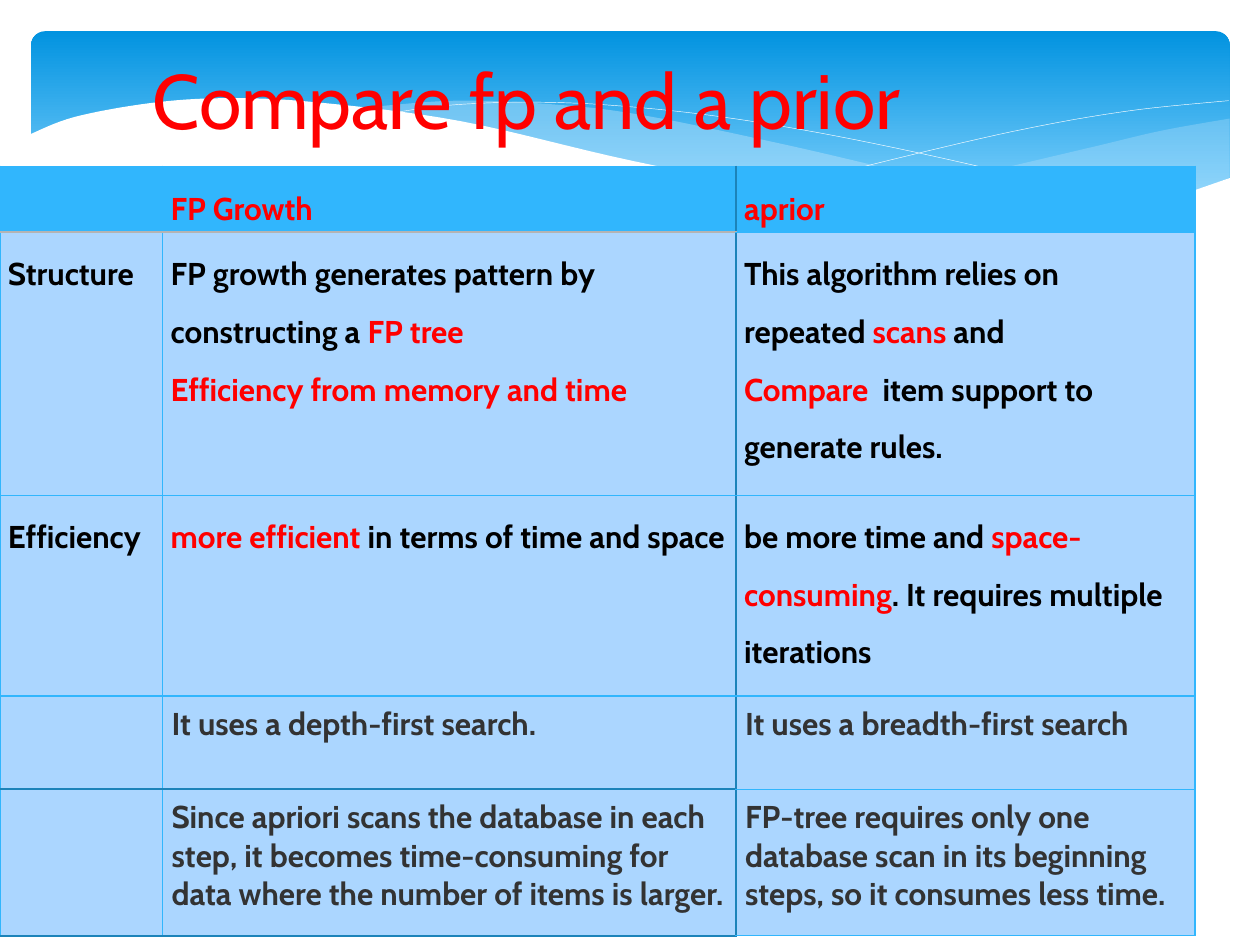
"""Build a slide that compares FP growth and apriori in a table over a wave banner."""
from itertools import chain

from lxml.etree import SubElement
from pptx import Presentation
from pptx.dml.color import RGBColor
from pptx.enum.shapes import MSO_SHAPE
from pptx.enum.text import MSO_ANCHOR as ANCHOR, PP_ALIGN as ALIGN
from pptx.oxml.ns import qn
from pptx.util import Cm, Pt

COLORS = {
    "banner_top": "0293E0", "banner_bottom": "83D3FE", "wave": "C6E7FC",
    "white": "FFFFFF", "red": "FF0000", "black": "000000", "grey": "333333",
    "header": "31B6FD", "body": "ABD6FF", "grid": "31B6FD",
    "divider": "1C83B9", "header_rule": "B4B4B4",
}
RGB = {name: RGBColor.from_string(value) for name, value in COLORS.items()}
FONT = "Cabin"
STEPS = 8


def smooth_edge(knots):
    """Return points on a Catmull-Rom curve through knots given in centimetres."""
    padded = [knots[0], *knots, knots[-1]]
    points = []
    for before, start, end, after in zip(padded, padded[1:], padded[2:], padded[3:]):
        for t in (step / STEPS for step in range(STEPS + 1)):
            points.append(tuple(
                Cm((2 * b + (c - a) * t + (2 * a - 5 * b + 4 * c - d) * t ** 2
                    + (3 * b - a - 3 * c + d) * t ** 3) / 2)
                for a, b, c, d in zip(before, start, end, after)))
    return points


def draw_outline(shapes, edges, closed):
    """Join smooth edges into one freeform without shadow."""
    points = list(chain.from_iterable(smooth_edge(edge) for edge in edges))
    builder = shapes.build_freeform(*points[0])
    builder.add_line_segments(points[1:], close=closed)
    outline = builder.convert_to_shape()
    outline.shadow.inherit = False
    return outline


presentation = Presentation()
presentation.slide_width, presentation.slide_height = Cm(25.4), Cm(19.05)
slide = presentation.slides.add_slide(presentation.slide_layouts[5])
shapes = slide.shapes

banner = shapes.add_shape(
    MSO_SHAPE.ROUNDED_RECTANGLE, Cm(0.63), Cm(0.63), Cm(24.16), Cm(3.96))
banner.adjustments[0] = 0.07
banner.shadow.inherit = False
banner.line.fill.background()
banner.fill.gradient()
banner.fill.gradient_angle = 270
banner_stops = [(0, "banner_top"), (0.9, "banner_bottom")]
for stop, (position, color) in zip(banner.fill.gradient_stops, banner_stops):
    stop.position = position
    stop.color.rgb = RGB[color]

right_wave = [
    [(24.79, 2.39), (23.39, 2.64), (21.87, 3), (19.13, 3.63), (16.79, 4.06)],
    [(16.79, 4.06), (18.26, 4.24), (19.84, 4.35), (21.21, 4.37),
     (22.58, 4.22), (23.75, 3.96), (24.79, 3.58)],
]
middle_wave = [
    [(7.26, 2.18), (9.17, 2.03), (11.23, 2.11), (13.06, 2.34),
     (15.98, 2.95), (18.82, 3.61), (20.5, 3.92), (22.68, 4.24)],
    [(22.68, 4.24), (21.03, 4.39), (19.33, 4.34), (17.27, 4.14),
     (14.83, 3.71), (11.4, 2.95), (9.19, 2.46), (7.26, 2.18)],
]
falling_curve = [
    (7.85, 2.29), (8.97, 2.13), (10.57, 2.06), (12.42, 2.13),
    (14.78, 2.39), (17.65, 2.9), (21.11, 3.68), (23.04, 4.22)]
rising_curve = [
    (15.57, 3.84), (17.65, 3.3), (20.47, 2.64), (22.73, 2.24), (24.77, 2.03)]
white_wave = [
    [(24.82, 3.58), (23.37, 4.04), (21.59, 4.32), (19.33, 4.32),
     (16.46, 3.96), (12.78, 3.25), (9.27, 2.44), (6.35, 2.06),
     (4.5, 1.98), (3.02, 2.08), (1.5, 2.36), (0.58, 2.72)],
    [(0.58, 5.69), (24.82, 5.69)],
]

for edges, opacity in [(right_wave, 29), (middle_wave, 40)]:
    wave = draw_outline(shapes, edges, closed=True)
    wave.line.fill.background()
    wave.fill.solid()
    wave.fill.fore_color.rgb = RGB["wave"]
    wave_color = wave._element.spPr.find(qn("a:solidFill"))[0]
    SubElement(wave_color, qn("a:alpha"), val=str(opacity * 1000))

for knots in (falling_curve, rising_curve):
    curve = draw_outline(shapes, [knots], closed=False)
    curve.fill.background()
    curve.line.color.rgb = RGB["white"]
    curve.line.width = Pt(0.25)

banner_cutout = draw_outline(shapes, white_wave, closed=True)
banner_cutout.line.fill.background()
banner_cutout.fill.solid()
banner_cutout.fill.fore_color.rgb = RGB["white"]

title = shapes.title
title.left, title.top, title.width, title.height = Cm(0), Cm(0.71), Cm(21.59), Cm(2.54)
title.text_frame.text = "Compare fp and a prior "
title.text_frame.vertical_anchor = ANCHOR.MIDDLE
paragraph = title.text_frame.paragraphs[0]
paragraph.alignment = ALIGN.CENTER
font = paragraph.runs[0].font
font.name, font.size, font.color.rgb = FONT, Pt(44), RGB["red"]
shapes._spTree.append(title._element)

HIGHLIGHT = "|"
header_style = {
    "fill": "header", "text": "red", "anchor": ANCHOR.MIDDLE,
    "spacing": 1.5, "side_margin": 0.16, "top_margin": 0.08}
topic_style = {**header_style, "fill": "body", "text": "black", "anchor": ANCHOR.TOP}
note_style = {
    **topic_style, "text": "grey", "spacing": 1.0,
    "side_margin": 0.18, "top_margin": 0.18}
rows = [
    (1.33, header_style, ["", "FP Growth", "aprior"]),
    (5.3, topic_style, [
        "Structure",
        "FP growth generates pattern by constructing a |FP tree|\n"
        "|Efficiency from memory and time|",
        "This algorithm relies on repeated |scans| and\n"
        "|Compare|  item support to generate rules."]),
    (4.05, topic_style, [
        "Efficiency",
        "|more efficient| in terms of time and space",
        "be more time and |space-consuming|. It requires multiple iterations"]),
    (1.88, note_style, [
        "", "It uses a depth-first search.", "It uses a breadth-first search"]),
    (2.95, note_style, [
        "",
        "Since apriori scans the database in each step, it becomes "
        "time-consuming for data where the number of items is larger.",
        "FP-tree requires only one database scan in its beginning steps, "
        "so it consumes less time."]),
]
column_widths = [3.28, 11.56, 9.25]

grid = ("grid", 0.75)
divider = ("divider", 1.25)
header_rule = ("header_rule", 1.25)
column_rules = [grid, grid, divider, grid]
left_row_rules = [grid, header_rule, grid, grid, divider, divider]
last_row_rules = [grid] * len(left_row_rules)

table = shapes.add_table(
    len(rows), len(column_widths), Cm(0), Cm(3.35), Cm(sum(column_widths)),
    Cm(sum(height for height, style, texts in rows))).table
for column, width in zip(table.columns, column_widths):
    column.width = Cm(width)

for row_index, (height, style, texts) in enumerate(rows):
    table.rows[row_index].height = Cm(height)
    for column_index, text in enumerate(texts):
        cell = table.cell(row_index, column_index)
        cell.vertical_anchor = style["anchor"]
        cell.margin_left = cell.margin_right = Cm(style["side_margin"])
        cell.margin_top = cell.margin_bottom = Cm(style["top_margin"])

        row_rules = last_row_rules if column_index == 2 else left_row_rules
        borders = (column_rules[column_index:column_index + 2]
                   + row_rules[row_index:row_index + 2])
        properties = cell._tc.get_or_add_tcPr()
        for side, (color, width) in zip("LRTB", borders):
            border = SubElement(properties, qn(f"a:ln{side}"), w=str(Pt(width)))
            border_fill = SubElement(border, qn("a:solidFill"))
            SubElement(border_fill, qn("a:srgbClr"), val=COLORS[color])
        cell.fill.solid()
        cell.fill.fore_color.rgb = RGB[style["fill"]]

        cell.text_frame.text = text
        for paragraph in cell.text_frame.paragraphs:
            parts = paragraph.text.split(HIGHLIGHT)
            paragraph.clear()
            paragraph.line_spacing = style["spacing"]
            for part, color in zip(parts, [style["text"], "red"] * len(parts)):
                if part:
                    run = paragraph.add_run()
                    run.text = part
                    font = run.font
                    font.name, font.size, font.bold = FONT, Pt(18), True
                    font.color.rgb = RGB[color]

presentation.save("out.pptx")
